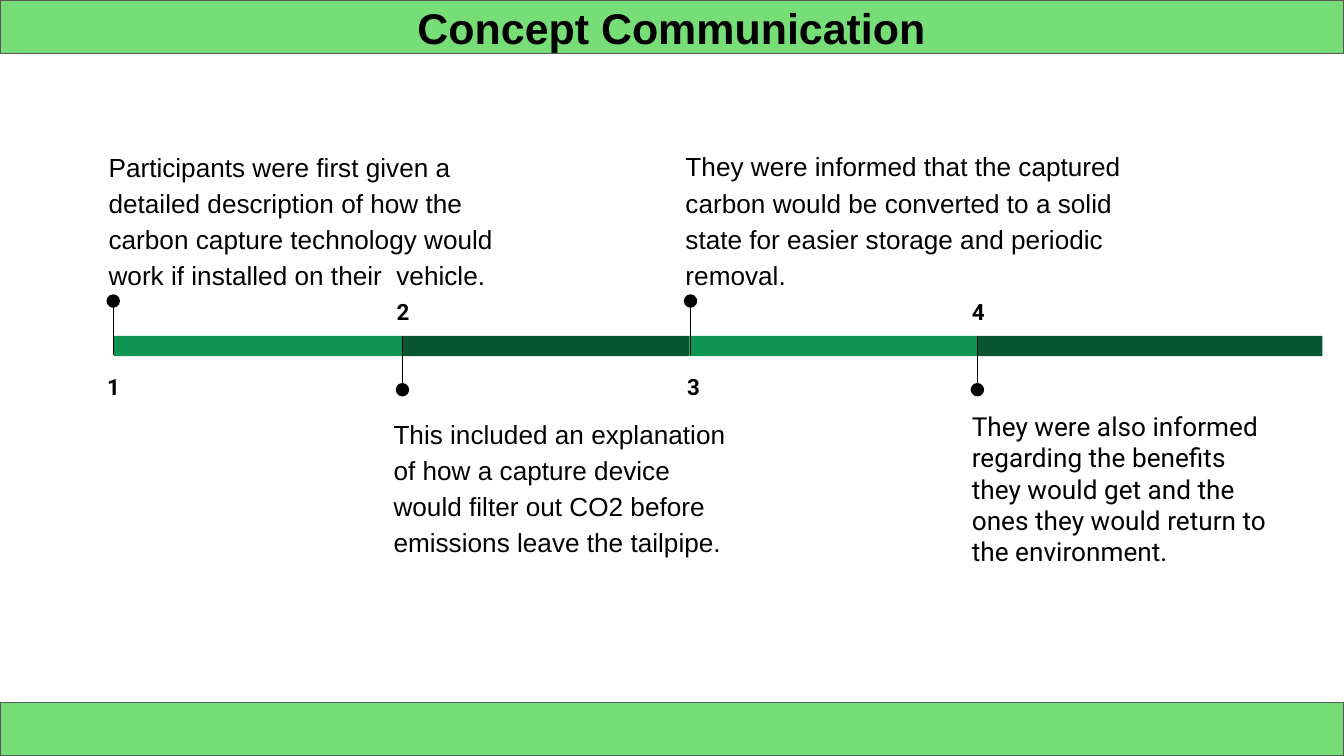
from dataclasses import dataclass

from lxml.etree import SubElement
from pptx import Presentation
from pptx.dml.color import RGBColor
from pptx.enum.shapes import MSO_CONNECTOR, MSO_SHAPE
from pptx.enum.text import MSO_ANCHOR, PP_ALIGN
from pptx.oxml.ns import qn
from pptx.util import Inches, Pt

COLUMNS, ROWS = 100, 56.25
CELL = Inches(0.1)
BAND_ROWS = 4
STAGE_COLUMNS = 21.4
BAR_ROWS = 1.5
DOT = 1
LABEL_COLUMNS, LABEL_ROWS = 8, 4.1
BLACK = "000000"
BAND_GREEN = "77DD77"
BAND_EDGE = "595959"
STAGE_GREENS = ("0E9453", "085631")


@dataclass
class Stage:
    """Wording and placing of one timeline stage, in grid cells."""
    text: str
    text_box: tuple
    pin: float
    label_centre: float
    columns: float = STAGE_COLUMNS
    font: str = "Arial"
    spacing: float = 1.15


STAGES = (
    Stage("Participants were first given a detailed description of how the carbon capture "
          "technology would work if installed on their  vehicle.",
          (7.1, 9.88, 30.7, 9.2), 8.43, 8.45),
    Stage("This included an explanation of how a capture device would filter out CO2 before "
          "emissions leave the tailpipe.",
          (28.3, 29.8, 28, 10.3), 29.95, 30),
    Stage("They were informed that the captured carbon would be converted to a solid state for "
          "easier storage and periodic removal.",
          (50.02, 9.88, 36.5, 10.4), 51.38, 51.6),
    Stage("They were also informed regarding the benefits they would get and the ones they "
          "would return to the environment.",
          (71.33, 29.53, 24.6, 10.3), 72.73, 72.8, columns=25.7, font="Roboto", spacing=1),
)


def color(hex_text):
    """Turn a hex string into a colour."""
    return RGBColor.from_string(hex_text)


def cells(*lengths):
    """Turn grid cells into slide lengths."""
    return [round(length * CELL) for length in lengths]


def add_filled(shapes, kind, box, fill, edge=None):
    """Add a flat preset shape, with a thin edge if one is named."""
    shape = shapes.add_shape(kind, *cells(*box))
    shape.shadow.inherit = False
    shape.fill.solid()
    shape.fill.fore_color.rgb = color(fill)
    if edge:
        shape.line.color.rgb = color(edge)
        shape.line.width = Pt(0.75)
    else:
        shape.line.fill.background()
    return shape


def write(shape, text, size, font="Arial", bold=False, align=PP_ALIGN.LEFT,
          anchor=MSO_ANCHOR.TOP, spacing=1, after=0):
    """Write one black paragraph into a shape."""
    frame = shape.text_frame
    frame.word_wrap = True
    frame.vertical_anchor = anchor
    frame.margin_left = frame.margin_right = frame.margin_top = frame.margin_bottom = CELL
    paragraph = frame.paragraphs[0]
    paragraph.text = text
    paragraph.alignment = align
    paragraph.line_spacing = spacing
    paragraph.space_after = Pt(after)
    paragraph.font.name = font
    paragraph.font.size = Pt(size)
    paragraph.font.bold = bold
    paragraph.font.color.rgb = color(BLACK)


def add_band(shapes, box, title=None):
    """Add a full-width green band with an optional title."""
    band = add_filled(shapes, MSO_SHAPE.RECTANGLE, box, BAND_GREEN, BAND_EDGE)
    if title:
        write(band, title, 23, bold=True, align=PP_ALIGN.CENTER, anchor=MSO_ANCHOR.MIDDLE)


def add_pin(shapes, x, start, end, dot_top):
    """Add a vertical stem and the dot at its tip."""
    stem = shapes.add_connector(MSO_CONNECTOR.STRAIGHT, *cells(x, start, x, end))
    stem.line.color.rgb = color(BLACK)
    stem.line.width = Pt(0.75)
    SubElement(stem._element.spPr, qn("a:effectLst"))
    add_filled(shapes, MSO_SHAPE.OVAL, (x - DOT / 2, dot_top, DOT, DOT), BLACK)


def add_stage(shapes, stage, number, box):
    """Add one stage whose bar fills the given box."""
    top, height = box[1], box[3]
    points_up = number % 2 == 1
    add_filled(shapes, MSO_SHAPE.RECTANGLE, box, STAGE_GREENS[(number - 1) % 2])
    if points_up:
        add_pin(shapes, stage.pin, top - 2.5, top + 1.4, top - 3.1)
        label_top = top + height
    else:
        add_pin(shapes, stage.pin, top + 3.9, top, top + 3.5)
        label_top = top - LABEL_ROWS
    label = shapes.add_textbox(*cells(stage.label_centre - LABEL_COLUMNS / 2, label_top,
                                      LABEL_COLUMNS, LABEL_ROWS))
    write(label, str(number), 12, "Roboto", True, PP_ALIGN.CENTER, spacing=1.15, after=16)
    description = shapes.add_textbox(*cells(*stage.text_box))
    write(description, stage.text, 14, stage.font, spacing=stage.spacing)


def add_timeline(shapes, left, top):
    """Lay the stages end to end, each in its own group."""
    for index, stage in enumerate(STAGES):
        box = (left + index * STAGE_COLUMNS, top, stage.columns, BAR_ROWS)
        add_stage(shapes.add_group_shape().shapes, stage, index + 1, box)


def main():
    """Build and save the slide."""
    presentation = Presentation()
    presentation.slide_width, presentation.slide_height = cells(COLUMNS, ROWS)
    slide = presentation.slides.add_slide(presentation.slide_layouts[6])
    add_band(slide.shapes, (0, 0, COLUMNS, BAND_ROWS), "Concept Communication")
    add_band(slide.shapes, (0, ROWS - BAND_ROWS, COLUMNS, BAND_ROWS))
    add_timeline(slide.shapes, 8.5, 25)
    presentation.save("out.pptx")


if __name__ == "__main__":
    main()
